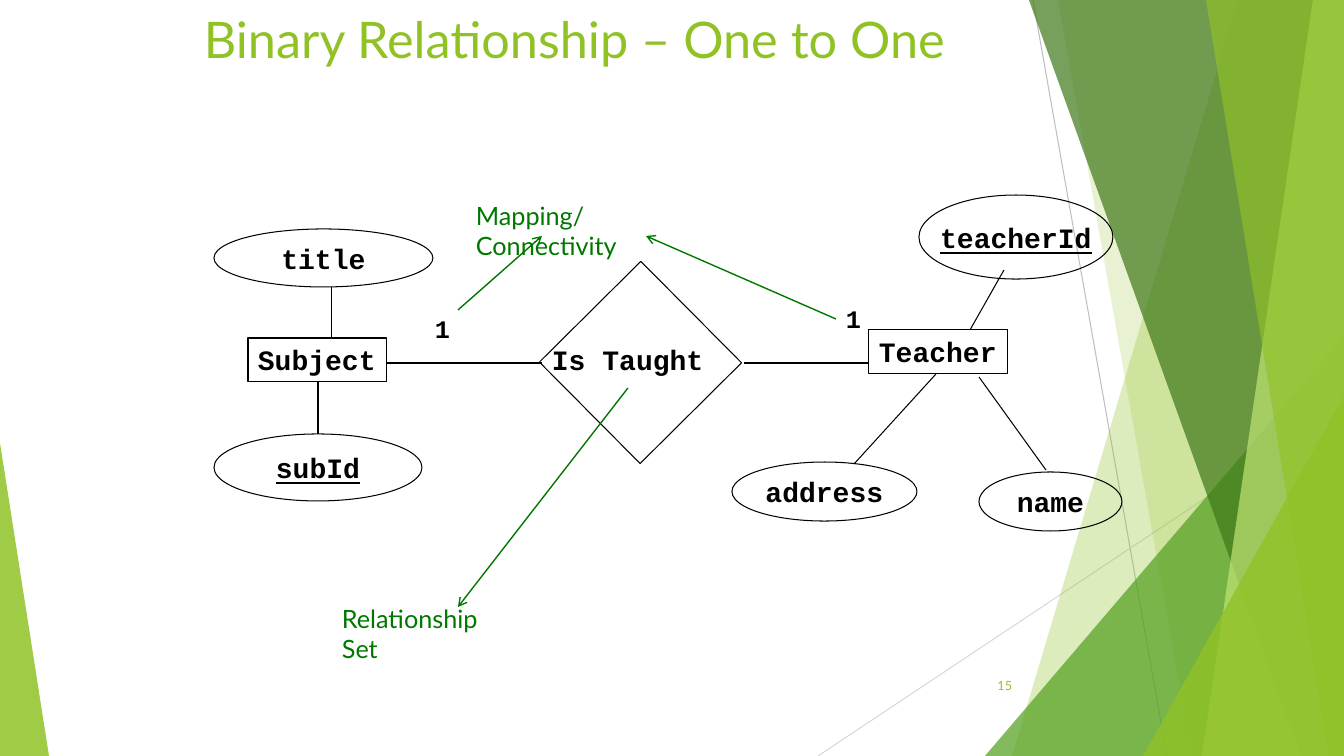
from lxml import etree
from pptx import Presentation
from pptx.dml.color import RGBColor
from pptx.enum.shapes import MSO_CONNECTOR, MSO_SHAPE
from pptx.enum.text import MSO_ANCHOR, PP_ALIGN
from pptx.oxml.ns import qn
from pptx.util import Pt

PX = 914400 / 100.8
WIDTH, HEIGHT = 1344, 756

STRAIGHT = MSO_CONNECTOR.STRAIGHT
RECTANGLE, ELLIPSE = MSO_SHAPE.RECTANGLE, MSO_SHAPE.OVAL
TRIANGLE = MSO_SHAPE.ISOSCELES_TRIANGLE
TOP, MIDDLE = MSO_ANCHOR.TOP, MSO_ANCHOR.MIDDLE
LEFT, CENTER, RIGHT = PP_ALIGN.LEFT, PP_ALIGN.CENTER, PP_ALIGN.RIGHT

BLACK = RGBColor(0x00, 0x00, 0x00)
NOTE_GREEN = RGBColor(0x00, 0x78, 0x00)
LIME = RGBColor(0x90, 0xC2, 0x26)
PALE_LIME = RGBColor(0xC0, 0xE4, 0x74)
GREEN = RGBColor(0x54, 0xA0, 0x21)
DARK_GREEN = RGBColor(0x3F, 0x78, 0x19)
GRAY = RGBColor(0xBF, 0xBF, 0xBF)
LIGHT_GRAY = RGBColor(0xD9, 0xD9, 0xD9)

SANS, MONO = "Lato", "Courier New"

deck = Presentation()
deck.slide_width, deck.slide_height = round(WIDTH * PX), round(HEIGHT * PX)
page = deck.slides.add_slide(deck.slide_layouts[6])


def connect(start, end, color=BLACK, width=0.75, arrow=False):
    """Draw a straight line between two pixel points, with an optional arrowhead at the end."""
    line = page.shapes.add_connector(STRAIGHT, *[round(v * PX) for v in (*start, *end)])
    line.line.color.rgb = color
    line.line.width = Pt(width)
    if arrow:
        etree.SubElement(line.line._get_or_add_ln(), qn("a:tailEnd"), type="arrow")
    etree.SubElement(line._element.spPr, qn("a:effectLst"))


def write(shape, text, font, size, color, align=LEFT, anchor=TOP, wrap=False):
    """Put one paragraph of text in a shape and return its font."""
    frame = shape.text_frame
    frame.word_wrap = wrap
    frame.vertical_anchor = anchor
    para = frame.paragraphs[0]
    para.text = text
    para.alignment = align
    para.font.name = font
    para.font.size = Pt(size)
    para.font.color.rgb = color
    para.font.bold = font == MONO
    return para.font


# Backdrop: bands run from a top x and a foot x to the right edge
connect((1033, 0), (1167, HEIGHT), GRAY)
connect((WIDTH, 406), (818, HEIGHT), LIGHT_GRAY)
backdrop = [
    ("band", (1238, 1012), LIME, 30),
    ("band", (1058, 1192), LIME, 20),
    ("triangle", (985, 336, 359, 420), GREEN, 72),
    ("band", (1029, 1301), DARK_GREEN, 70),
    ("band", (1313, 1202), PALE_LIME, 70),
    ("band", (1206, 1329), LIME, 65),
    ("triangle", (1143, 396, 201, 360), LIME, 80),
    ("triangle", (0, 443, 49, 313), LIME, 85),
]
for kind, place, color, opacity in backdrop:
    if kind == "band":
        top_x, foot_x = place
        builder = page.shapes.build_freeform(top_x, 0, scale=PX)
        builder.add_line_segments([(WIDTH, 0), (WIDTH, HEIGHT), (foot_x, HEIGHT)])
        facet = builder.convert_to_shape()
    else:
        facet = page.shapes.add_shape(TRIANGLE, *[round(v * PX) for v in place])
        facet.adjustments[0] = 0 if place[0] == 0 else 1
    facet.shadow.inherit = False
    facet.line.fill.background()
    facet.fill.solid()
    facet.fill.fore_color.rgb = color
    tint = facet._element.spPr.find(qn("a:solidFill"))[0]
    etree.SubElement(tint, qn("a:alpha"), val=str(opacity * 1000))

# Entities, relationship diamond and attributes
nodes = [
    (RECTANGLE, (248, 338, 139, 44), "Subject", False),
    (RECTANGLE, (569, 291, 143, 143), "", False),
    (RECTANGLE, (869, 330, 139, 44), "Teacher", False),
    (ELLIPSE, (919, 195, 194, 84), "teacherId", True),
    (ELLIPSE, (979, 472, 143, 59), "name", False),
    (ELLIPSE, (732, 462, 185, 59), "address", False),
    (ELLIPSE, (214, 434, 208, 67), "subId", True),
    (ELLIPSE, (214, 229, 219, 58), "title", False),
]
for kind, place, label, is_key in nodes:
    node = page.shapes.add_shape(kind, *[round(v * PX) for v in place])
    node.shadow.inherit = False
    node.fill.background()
    node.line.color.rgb = BLACK
    node.line.width = Pt(0.75)
    if not label:
        node.rotation = 45.2
        continue
    align, anchor = (CENTER, MIDDLE) if kind == ELLIPSE else (LEFT, TOP)
    font = write(node, label, MONO, 20, BLACK, align, anchor)
    if is_key:
        font.underline = True

links = [
    ((387, 363), (542, 363)),
    ((744, 363), (869, 363)),
    ((318, 382), (318, 434)),
    ((332, 338), (332, 287)),
    ((970, 330), (1004, 270)),
    ((936, 374), (854, 464)),
    ((979, 377), (1046, 470)),
]
for start, end in links:
    connect(start, end)

# Title, labels and notes
texts = [
    ((194, 3, 857, 84), "Binary Relationship – One to One", SANS, 36, LIME, LEFT, TOP, True),
    ((947, 666, 75, 40), "15", SANS, 9, LIME, RIGHT, MIDDLE, True),
    ((542, 338, 173, 44), "Is Taught", MONO, 20, BLACK, LEFT, TOP, False),
    ((425, 308, 35, 40), "1", MONO, 18, BLACK, LEFT, TOP, False),
    ((836, 298, 35, 40), "1", MONO, 18, BLACK, LEFT, TOP, False),
    ((332, 598, 184, 40), "Relationship Set", SANS, 18, NOTE_GREEN, LEFT, TOP, True),
    ((466, 195, 248, 40), "Mapping/Connectivity", SANS, 18, NOTE_GREEN, LEFT, TOP, True),
]
for place, *content in texts:
    box = page.shapes.add_textbox(*[round(v * PX) for v in place])
    write(box, *content)

for start, end in [
    ((458, 310), (542, 236)),
    ((836, 319), (646, 236)),
    ((628, 388), (458, 607)),
]:
    connect(start, end, NOTE_GREEN, 1, arrow=True)

deck.save("out.pptx")
